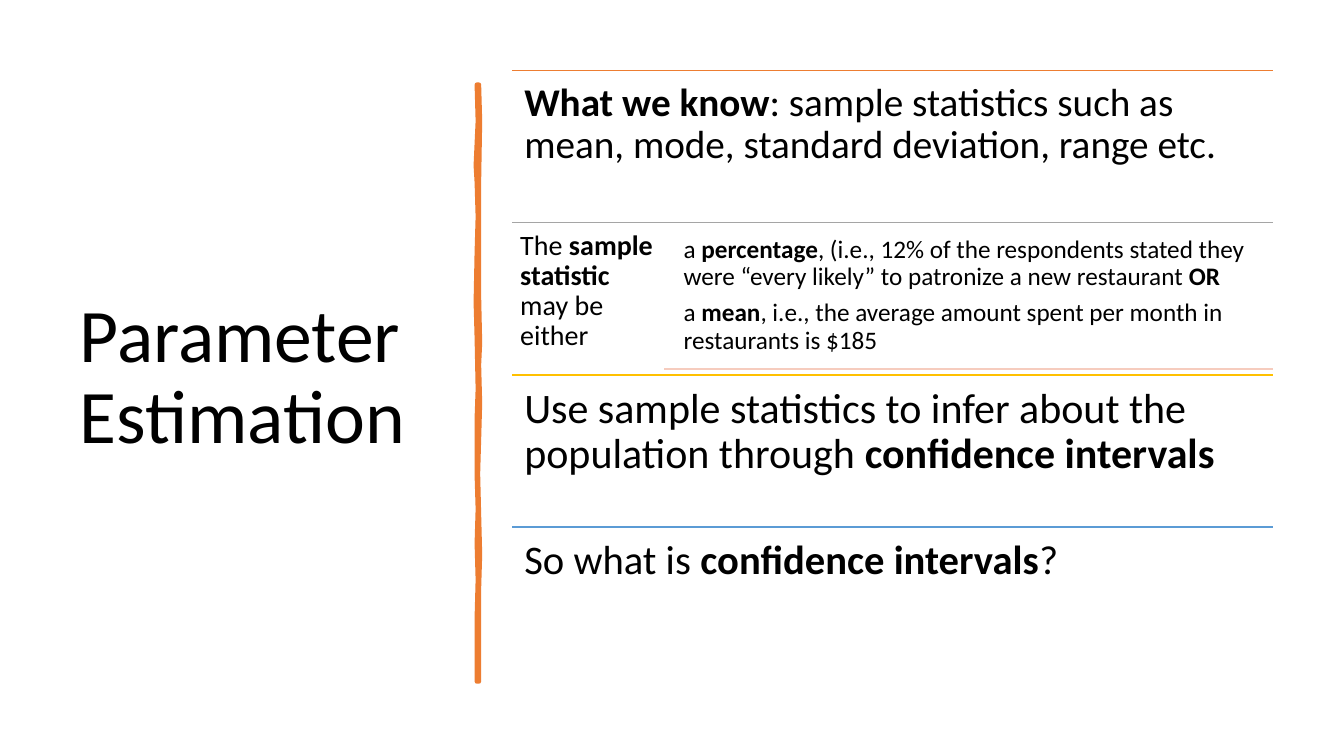
from pptx import Presentation, util as u
from pptx.dml.color import RGBColor
from pptx.enum import shapes, text
from pptx.oxml.ns import qn
from lxml import etree

PX = 9144  # EMU per px, 100 px to the inch
FONT = "Calibri"
BLACK = RGBColor(0x00, 0x00, 0x00)
ORANGE = RGBColor(0xED, 0x7D, 0x31)
GREY = RGBColor(0xA5, 0xA5, 0xA5)
GOLD = RGBColor(0xFF, 0xC0, 0x00)
BLUE = RGBColor(0x5B, 0x9B, 0xD5)
PINK = RGBColor(0xF6, 0xCC, 0xBE)

TITLE = "Parameter Estimation"
TITLE_BOX = (69, 70, 374, 611)

# Bold runs stand between asterisks.
# Rows: line colour, font size, width, inset, paragraphs
ROWS = [
    (ORANGE, 28, 755, 12,
     ["*What we know*: sample statistics such as mean, mode, standard deviation, range etc."]),
    (GREY, 20, 151, 8, ["The *sample statistic *may be either"]),
    (GOLD, 30, 755, 12,
     ["Use sample statistics to infer about the population through *confidence intervals*"]),
    (BLUE, 29, 755, 12, ["So what is *confidence intervals*?"]),
]
EITHER = [
    "a *percentage*, (i.e., 12% of the respondents stated they were “every likely” "
    "to patronize a new restaurant *OR*",
    "a *mean*, i.e., the average amount spent per month in restaurants is $185",
]
LEFT, RIGHT, TOP, ROW_H = 508, 1263, 70, 151
EITHER_LINE_LEFT, EITHER_LINE_Y = 659, 366
EITHER_BOX = (671, 228, 592, 137)

# Hand-drawn bar: (x, y) down its right edge, then up its left edge
BAR = [(475, 84), (476, 120), (475, 180), (475, 294), (476, 340), (475, 362),
       (476, 400), (475, 436), (474, 470), (475, 510), (476, 550), (475, 584),
       (475, 676), (473, 676), (473, 613), (474, 575), (473, 539), (474, 505),
       (473, 471), (473, 415), (474, 386), (473, 335), (472, 300), (473, 250),
       (474, 215), (473, 181), (472, 164), (474, 120), (473, 84)]


def px(*lengths):
    return [u.Emu(n * PX) for n in lengths]


def set_all(obj, **values):
    for name, value in values.items():
        setattr(obj, name, value)


def write(p, marked, size):
    """Fill a paragraph, making every second part between asterisks bold."""
    set_all(p, line_spacing=0.9, alignment=text.PP_ALIGN.LEFT)
    for i, part in enumerate(marked.split("*")):
        if part:
            r = p.add_run()
            r.text = part
            set_all(r.font, name=FONT, size=u.Pt(size), bold=i % 2 == 1)
            r.font.color.rgb = BLACK


def add_text(s, box, paragraphs, size, inset):
    tf = s.shapes.add_textbox(*px(*box)).text_frame
    margin = px(inset)[0]
    set_all(tf, word_wrap=True, vertical_anchor=text.MSO_ANCHOR.TOP,
            margin_left=margin, margin_right=margin,
            margin_top=margin, margin_bottom=margin)
    for i, marked in enumerate(paragraphs):
        p = tf.add_paragraph() if i else tf.paragraphs[0]
        write(p, marked, size)
        p.space_after = u.Pt(round(size * 0.35, 1))


def add_rule(s, left, y, color):
    c = s.shapes.add_connector(shapes.MSO_CONNECTOR.STRAIGHT, *px(left, y, RIGHT, y))
    c.line.color.rgb = color
    c.line.width = u.Pt(1)
    etree.SubElement(c._element.spPr, qn("a:effectLst"))


def add_bar(s):
    builder = s.shapes.build_freeform(*BAR[0], scale=PX)
    builder.add_line_segments(BAR[1:], close=True)
    sp = builder.convert_to_shape()
    sp.shadow.inherit = False
    sp.fill.solid()
    sp.fill.fore_color.rgb = ORANGE
    sp.line.color.rgb = ORANGE
    sp.line.width = u.Pt(3.25)


def main():
    prs = Presentation()
    set_all(prs, slide_width=px(1333)[0], slide_height=px(750)[0])
    s = prs.slides.add_slide(prs.slide_layouts[5])

    title = s.shapes.title
    set_all(title, **dict(zip(("left", "top", "width", "height"), px(*TITLE_BOX))))
    set_all(title.text_frame, word_wrap=True, auto_size=text.MSO_AUTO_SIZE.NONE,
            vertical_anchor=text.MSO_ANCHOR.MIDDLE)
    write(title.text_frame.paragraphs[0], TITLE, 54)

    add_bar(s)
    for i, (color, size, width, inset, paragraphs) in enumerate(ROWS):
        y = TOP + i * ROW_H
        add_rule(s, LEFT, y, color)
        add_text(s, (LEFT, y, width, ROW_H), paragraphs, size, inset)
    add_text(s, EITHER_BOX, EITHER, 18, 7)
    add_rule(s, EITHER_LINE_LEFT, EITHER_LINE_Y, PINK)

    prs.save("out.pptx")


if __name__ == "__main__":
    main()
